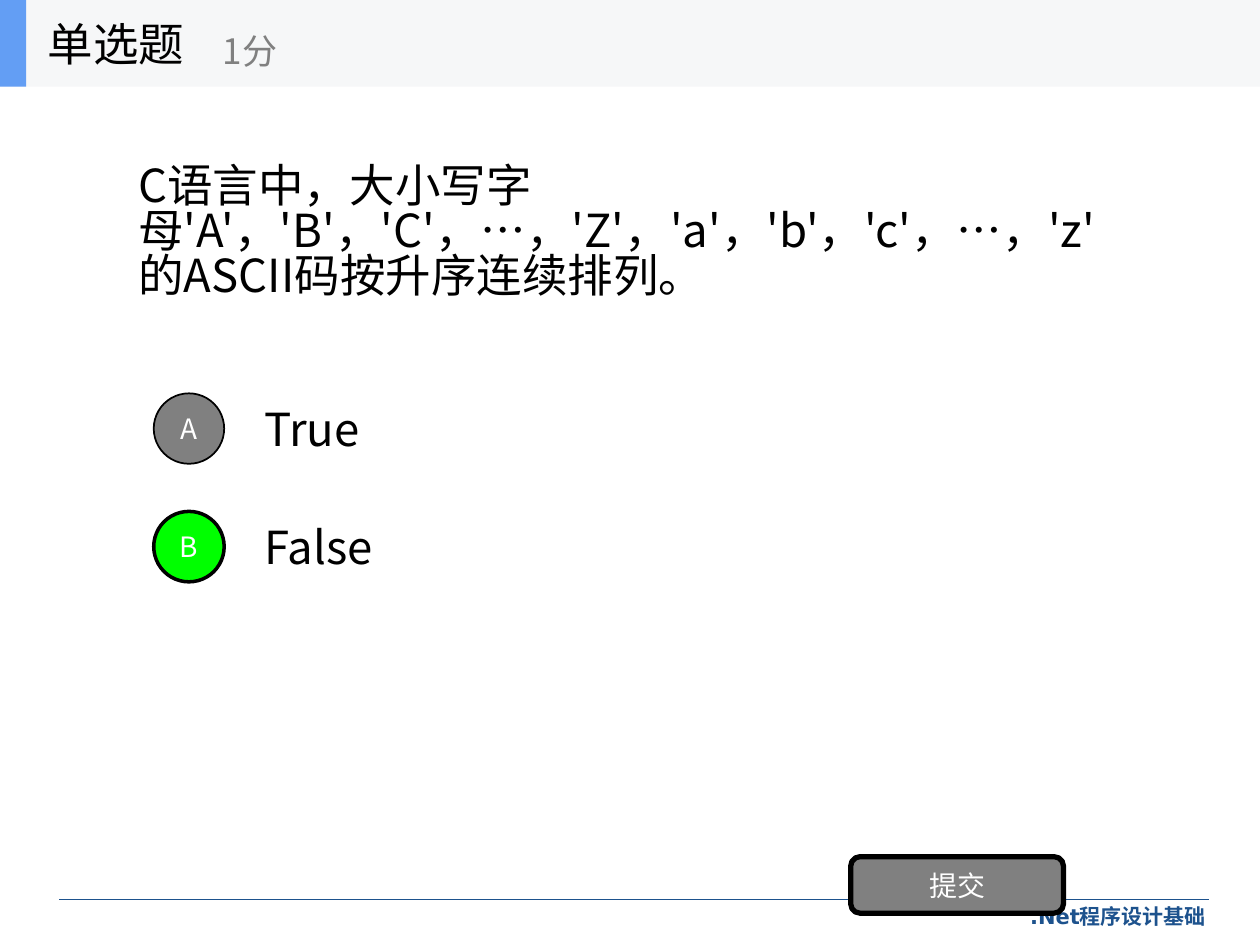
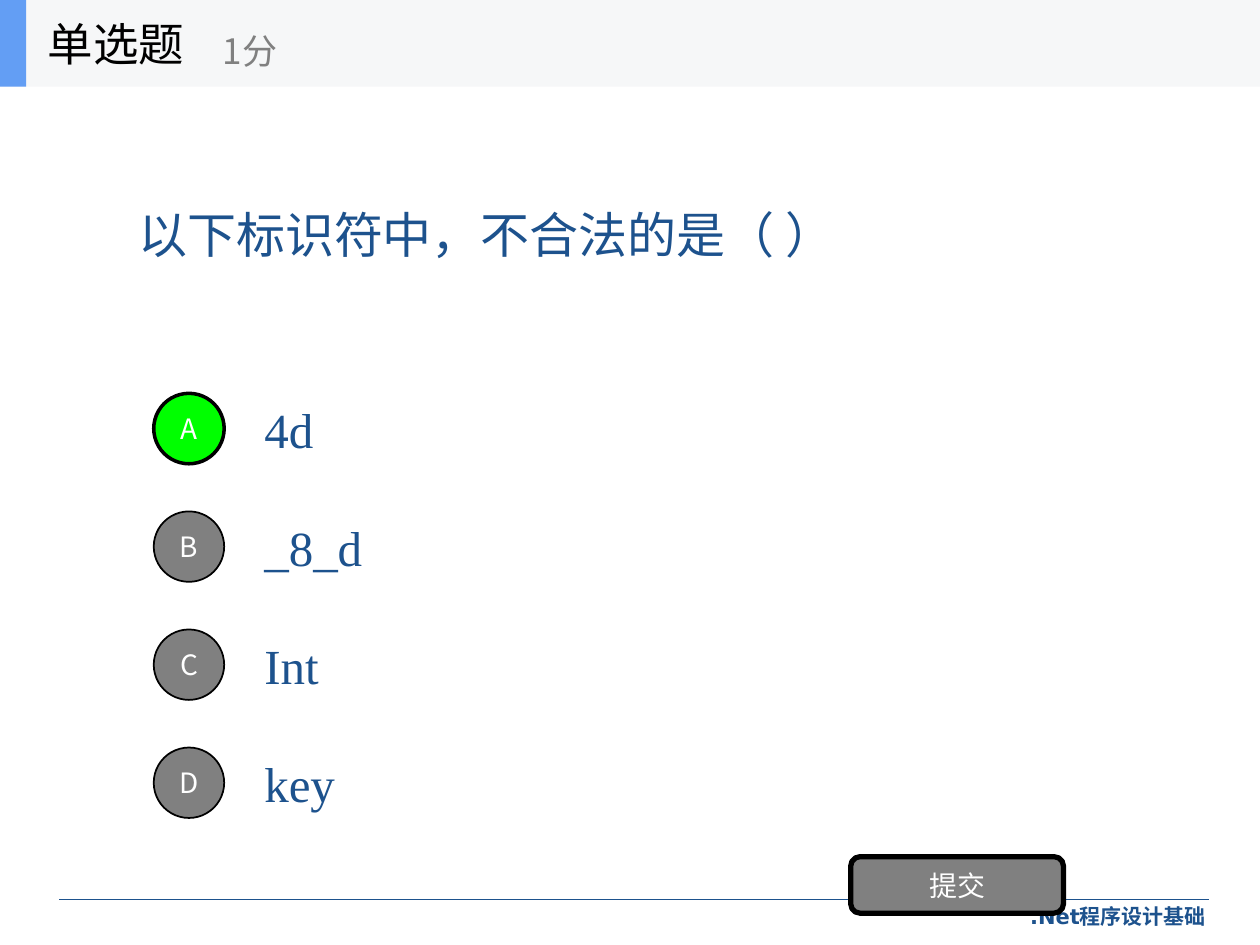
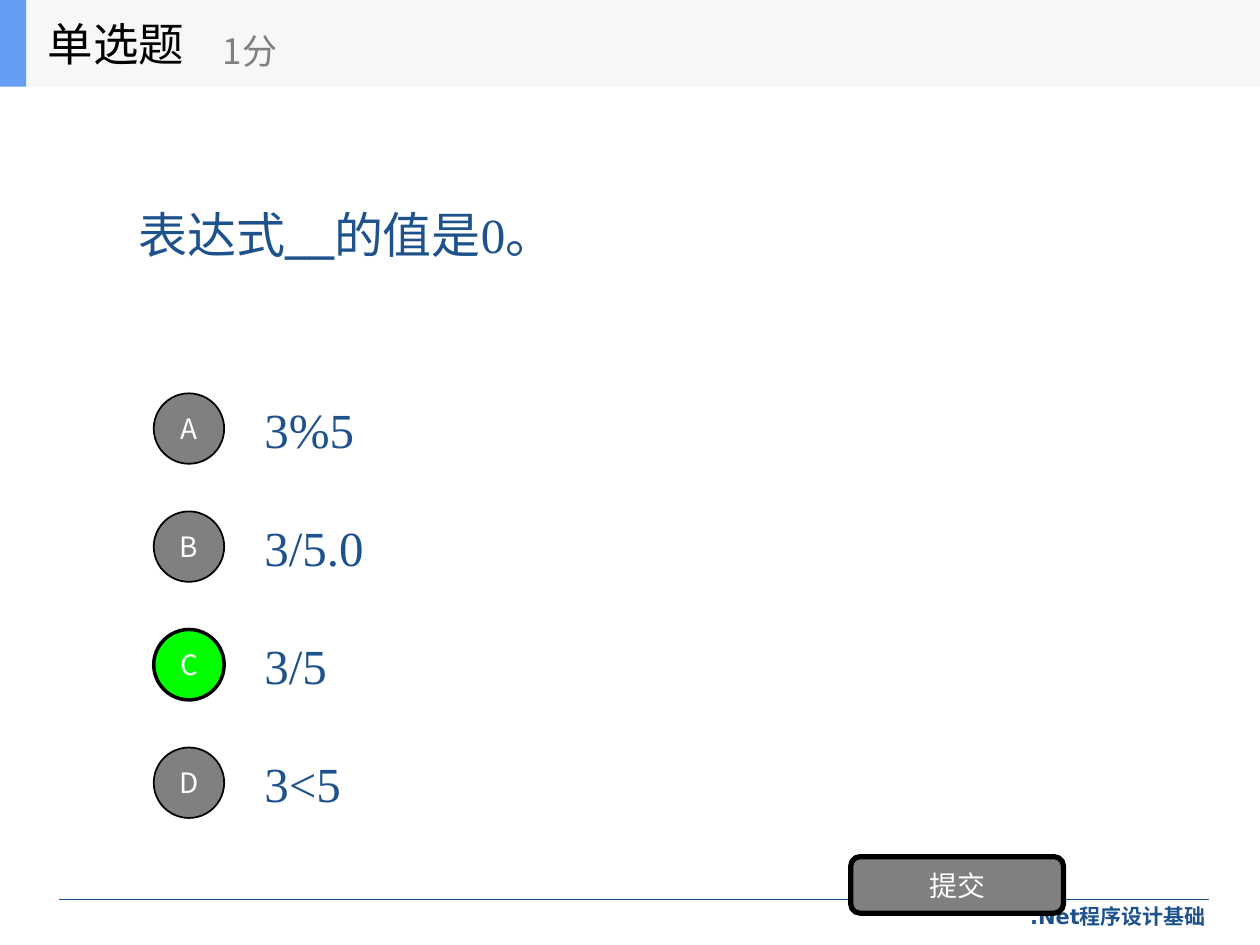
import lxml.etree
import pptx
import pptx.dml.color
import pptx.enum.shapes
import pptx.enum.text
import pptx.oxml.ns
import pptx.util

Cm = pptx.util.Cm
Pt = pptx.util.Pt
RGBColor = pptx.dml.color.RGBColor
Shape = pptx.enum.shapes.MSO_SHAPE
Align = pptx.enum.text.PP_ALIGN
Anchor = pptx.enum.text.MSO_ANCHOR

BLACK = RGBColor(0x00, 0x00, 0x00)
WHITE = RGBColor(0xFF, 0xFF, 0xFF)
GRAY = RGBColor(0x80, 0x80, 0x80)
GREEN = RGBColor(0x00, 0xFF, 0x00)
NAVY = RGBColor(0x1D, 0x52, 0x8D)
BAND = RGBColor(0xF6, 0xF7, 0xF8)
ACCENT = RGBColor(0x63, 0x9E, 0xF4)

SANS = "Noto Sans CJK SC"
SLIDE_WIDTH, SLIDE_HEIGHT = 25.4, 19.05
HEADER_HEIGHT = 1.75
OPTION_TOP, OPTION_HEIGHT, OPTION_PITCH = 7.75, 1.78, 2.38
CIRCLE_SIZE = 1.42

PLAIN = {"name": SANS, "size": Pt(26), "color": BLACK}
SERIF = {"name": "Times New Roman", "size": Pt(28), "color": NAVY}
SCORE = {"name": SANS, "size": Pt(20), "color": GRAY}
LABEL = {"name": SANS, "size": Pt(16), "color": WHITE}
FOOTER = {"name": "DejaVu Sans", "size": Pt(12), "bold": True, "color": NAVY}

QUESTIONS = [
    {
        "question": ["C语言中，大小写字母'A'，'B'，'C'，…，'Z'，'a'，'b'，'c'，…，'z'的ASCII码按升序连续排列。"],
        "options": ["True", "False"],
        "answer": "B",
        "style": PLAIN,
        "line_spacing": 0.82,
    },
    {
        "question": ["以下标识符中，不合法的是（ ）"],
        "options": ["4d", "_8_d", "Int", "key"],
        "answer": "A",
        "style": SERIF,
    },
    {
        "question": ["表达式", "__", "的值是0。"],
        "options": ["3%5", "3/5.0", "3/5", "3<5"],
        "answer": "C",
        "style": SERIF,
    },
]


class QuizDeck:
    def __init__(self):
        self.presentation = pptx.Presentation()
        self.presentation.slide_width = Cm(SLIDE_WIDTH)
        self.presentation.slide_height = Cm(SLIDE_HEIGHT)
        self.slide = None

    def fill_text(self, shape, runs, style, align=Align.LEFT, anchor=Anchor.MIDDLE, wrap=True, line_spacing=None):
        frame = shape.text_frame
        frame.word_wrap = wrap
        frame.vertical_anchor = anchor
        paragraph = frame.paragraphs[0]
        paragraph.alignment = align
        paragraph.line_spacing = line_spacing
        for text in runs:
            run = paragraph.add_run()
            run.text = text
            values = dict(style)
            run.font.color.rgb = values.pop("color")
            if text == "__":
                values["bold"] = True
            for name, value in values.items():
                setattr(run.font, name, value)
            east_asian = lxml.etree.SubElement(run.font._element, pptx.oxml.ns.qn("a:ea"))
            east_asian.set("typeface", SANS)

    def text(self, box, runs, style, **layout):
        shape = self.slide.shapes.add_textbox(*map(Cm, box))
        self.fill_text(shape, runs, style, **layout)

    def block(self, kind, box, fill, line_width=0, label=None):
        shape = self.slide.shapes.add_shape(kind, *map(Cm, box))
        shape.shadow.inherit = False
        shape.fill.solid()
        shape.fill.fore_color.rgb = fill
        if line_width:
            shape.line.color.rgb = BLACK
            shape.line.width = Pt(line_width)
        else:
            shape.line.fill.background()
        if label:
            self.fill_text(shape, [label], LABEL, align=Align.CENTER, wrap=False)

    def rule(self, left, right, top):
        line = self.slide.shapes.add_connector(
            pptx.enum.shapes.MSO_CONNECTOR.STRAIGHT, Cm(left), Cm(top), Cm(right), Cm(top))
        line.line.color.rgb = NAVY
        line.line.width = Pt(0.75)
        lxml.etree.SubElement(line._element.spPr, pptx.oxml.ns.qn("a:effectLst"))

    def footer(self):
        self.rule(1.19, 24.38, 18.13)
        self.text((16.51, 18.08, 8.05, 0.84), [".Net程序设计基础"], FOOTER, align=Align.RIGHT, anchor=Anchor.TOP)

    def header(self):
        self.block(Shape.RECTANGLE, (0, 0, SLIDE_WIDTH, HEADER_HEIGHT), BAND)
        self.block(Shape.RECTANGLE, (0, 0, 0.53, HEADER_HEIGHT), ACCENT)
        self.text((0.71, 0, 5.28, HEADER_HEIGHT), ["单选题"], PLAIN)
        self.text((4.24, 0.3, 6.35, 1.42), ["1分"], SCORE)

    def option(self, index, text, style, correct):
        top = OPTION_TOP + index * OPTION_PITCH
        self.text((5.08, top, 17.78, OPTION_HEIGHT), [text], style)
        circle_top = top + (OPTION_HEIGHT - CIRCLE_SIZE) / 2
        self.block(Shape.OVAL, (3.1, circle_top, CIRCLE_SIZE, CIRCLE_SIZE),
                   GREEN if correct else GRAY, 2 if correct else 1, "ABCD"[index])

    def question_slide(self, question, options, answer, style, line_spacing=None):
        self.slide = self.presentation.slides.add_slide(self.presentation.slide_layouts[6])
        self.footer()
        self.text((2.54, 1.75, 20.32, 5.94), question, style, line_spacing=line_spacing)
        for index, text in enumerate(options):
            self.option(index, text, style, "ABCD"[index] == answer)
        self.block(Shape.ROUNDED_RECTANGLE, (17.15, 17.27, 4.29, 1.14), GRAY, 3, "提交")
        self.header()


def main():
    deck = QuizDeck()
    for question in QUESTIONS:
        deck.question_slide(**question)
    deck.presentation.save("out.pptx")


if __name__ == "__main__":
    main()
